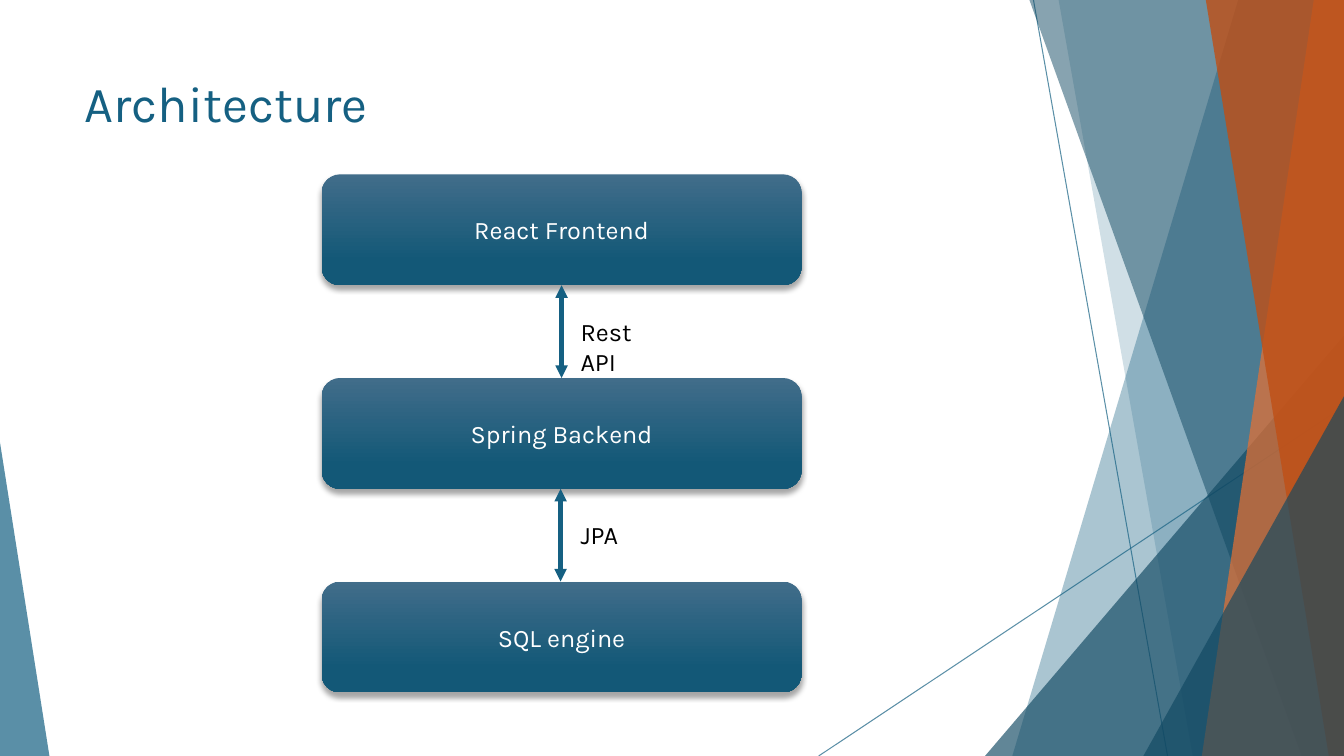
from lxml.etree import SubElement
from pptx import Presentation
from pptx.dml.color import RGBColor
from pptx.enum.shapes import MSO_CONNECTOR, MSO_SHAPE
from pptx.enum.text import MSO_ANCHOR, PP_ALIGN
from pptx.oxml.ns import qn
from pptx.util import Inches, Pt

BLUE = RGBColor(0x15, 0x60, 0x82)
DEEP = RGBColor(0x10, 0x48, 0x62)
ORANGE = RGBColor(0xE9, 0x71, 0x32)
RUST = RGBColor(0xC0, 0x4F, 0x15)
LIGHT = RGBColor(0x41, 0x6D, 0x8A)
DARK = RGBColor(0x13, 0x58, 0x77)
WHITE = RGBColor(0xFF, 0xFF, 0xFF)
BLACK = RGBColor(0, 0, 0)
FONT = "Karla"
WIDE, HIGH = 13.33, 7.5

# Content
TITLE = "Architecture"
LAYERS = ["React Frontend", "Spring Backend", "SQL engine"]
# label, arrow x, label top, label width
LINKS = [("Rest API", 5.57, 3.09, 1.1), ("JPA", 5.56, 5.1, 0.62)]

# Backdrop, back to front
RAYS = [(10.25, 0, 11.58, HIGH), (WIDE, 4.03, 8.12, HIGH)]
# band: top x, bottom x, running to the right edge
# wedge: left, top, width, apex side (0 left, 1 right), down to the bottom edge
FACETS = [
    ("band", (12.28, 10.04), BLUE, 36),
    ("band", (10.5, 11.83), BLUE, 20),
    ("wedge", (9.77, 3.33, 3.56, 1), DEEP, 66),
    ("band", (10.21, 12.91), DEEP, 50),
    ("band", (13.03, 11.92), ORANGE, 70),
    ("band", (11.96, 13.18), RUST, 80),
    ("wedge", (11.34, 3.93, 1.99, 1), DEEP, 66),
    ("wedge", (0, 4.39, 0.49, 0), BLUE, 70),
]

# Layer boxes
LEFT, TOP, BOX_W, BOX_H, STEP = 3.19, 1.73, 4.76, 1.1, 2.02

prs = Presentation()
prs.slide_width, prs.slide_height = Inches(WIDE), Inches(HIGH)
slide = prs.slides.add_slide(prs.slide_layouts[5])
shapes = slide.shapes


def fade(shape, pct):
    color = shape.element.spPr.find(".//" + qn("a:srgbClr"))
    SubElement(color, qn("a:alpha"), val=str(pct * 1000))


def add_line(x1, y1, x2, y2, width):
    line = shapes.add_connector(
        MSO_CONNECTOR.STRAIGHT, Inches(x1), Inches(y1), Inches(x2), Inches(y2))
    line.line.color.rgb = BLUE
    line.line.width = Pt(width)
    SubElement(line.element.spPr, qn("a:effectLst"))
    return line


def add_band(top, base):
    start, *rest = [(Inches(x), Inches(y)) for x, y in
                    [(top, 0), (WIDE, 0), (WIDE, HIGH), (base, HIGH)]]
    pen = shapes.build_freeform(*start)
    pen.add_line_segments(rest, close=True)
    return pen.convert_to_shape()


def add_wedge(left, top, width, side):
    wedge = shapes.add_shape(
        MSO_SHAPE.ISOSCELES_TRIANGLE, Inches(left), Inches(top),
        Inches(width), Inches(HIGH - top))
    wedge.adjustments[0] = side
    return wedge


def write(frame, text, size, color, align, anchor):
    frame.word_wrap = True
    frame.vertical_anchor = anchor
    para = frame.paragraphs[0]
    para.alignment = align
    run = para.add_run()
    run.text = text
    run.font.name, run.font.size = FONT, Pt(size)
    run.font.color.rgb = color


# Backdrop
for ray in RAYS:
    fade(add_line(*ray, 0.75), 70)
for kind, spot, color, pct in FACETS:
    facet = (add_band if kind == "band" else add_wedge)(*spot)
    facet.shadow.inherit = False
    facet.fill.solid()
    facet.fill.fore_color.rgb = color
    facet.line.fill.background()
    fade(facet, pct)

# Title
title = shapes.title
title.left, title.top = Inches(0.74), Inches(0.67)
title.width, title.height = Inches(9.4), Inches(1.44)
write(title.text_frame, TITLE, 36, BLUE, PP_ALIGN.LEFT, MSO_ANCHOR.TOP)

# Layers
for i, name in enumerate(LAYERS):
    box = shapes.add_shape(
        MSO_SHAPE.ROUNDED_RECTANGLE, Inches(LEFT), Inches(TOP + i * STEP),
        Inches(BOX_W), Inches(BOX_H))
    box.fill.gradient()
    box.fill.gradient_angle = 270
    for stop, color, place in zip(box.fill.gradient_stops, (LIGHT, DARK), (0, 0.78)):
        stop.color.rgb = color
        stop.position = place
    box.line.fill.background()
    box.shadow.inherit = False
    effects = box.element.spPr.find(qn("a:effectLst"))
    shade = SubElement(effects, qn("a:outerShdw"), blurRad=str(Pt(4)),
                       dist=str(Pt(3)), dir="5400000", rotWithShape="0")
    tint = SubElement(shade, qn("a:srgbClr"), val=str(BLACK))
    SubElement(tint, qn("a:alpha"), val="35000")
    write(box.text_frame, name, 18, WHITE, PP_ALIGN.CENTER, MSO_ANCHOR.MIDDLE)

# Arrows and their labels
for i, (name, x, top, width) in enumerate(LINKS):
    start = TOP + i * STEP + BOX_H
    arrow = add_line(x, start, x, TOP + (i + 1) * STEP, 3)
    stroke = arrow.element.spPr.find(qn("a:ln"))
    for end in ("a:headEnd", "a:tailEnd"):
        SubElement(stroke, qn(end), type="triangle")
    label = shapes.add_textbox(
        Inches(5.66), Inches(top), Inches(width), Inches(0.4))
    write(label.text_frame, name, 18, BLACK, PP_ALIGN.LEFT, MSO_ANCHOR.TOP)

prs.save("out.pptx")
